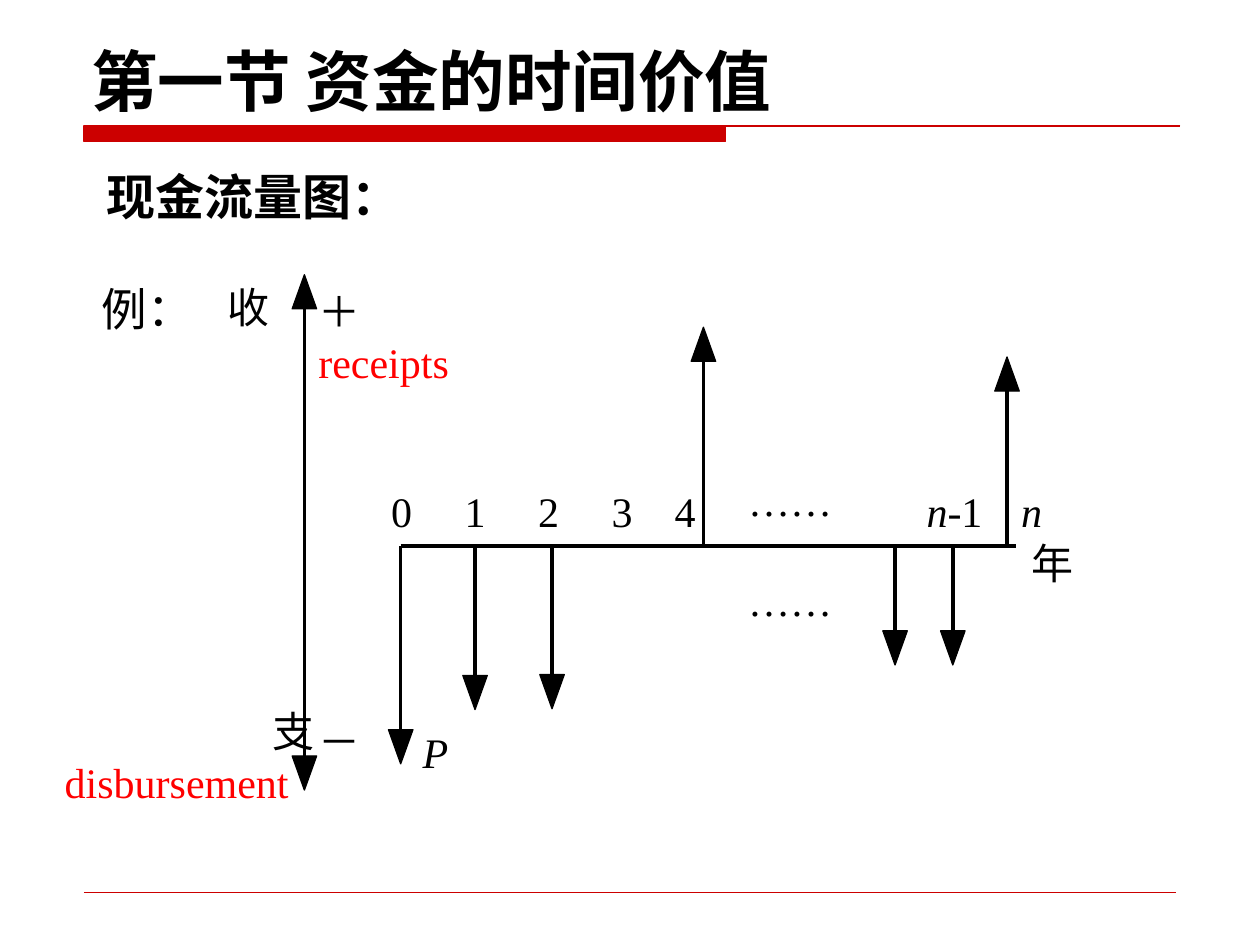
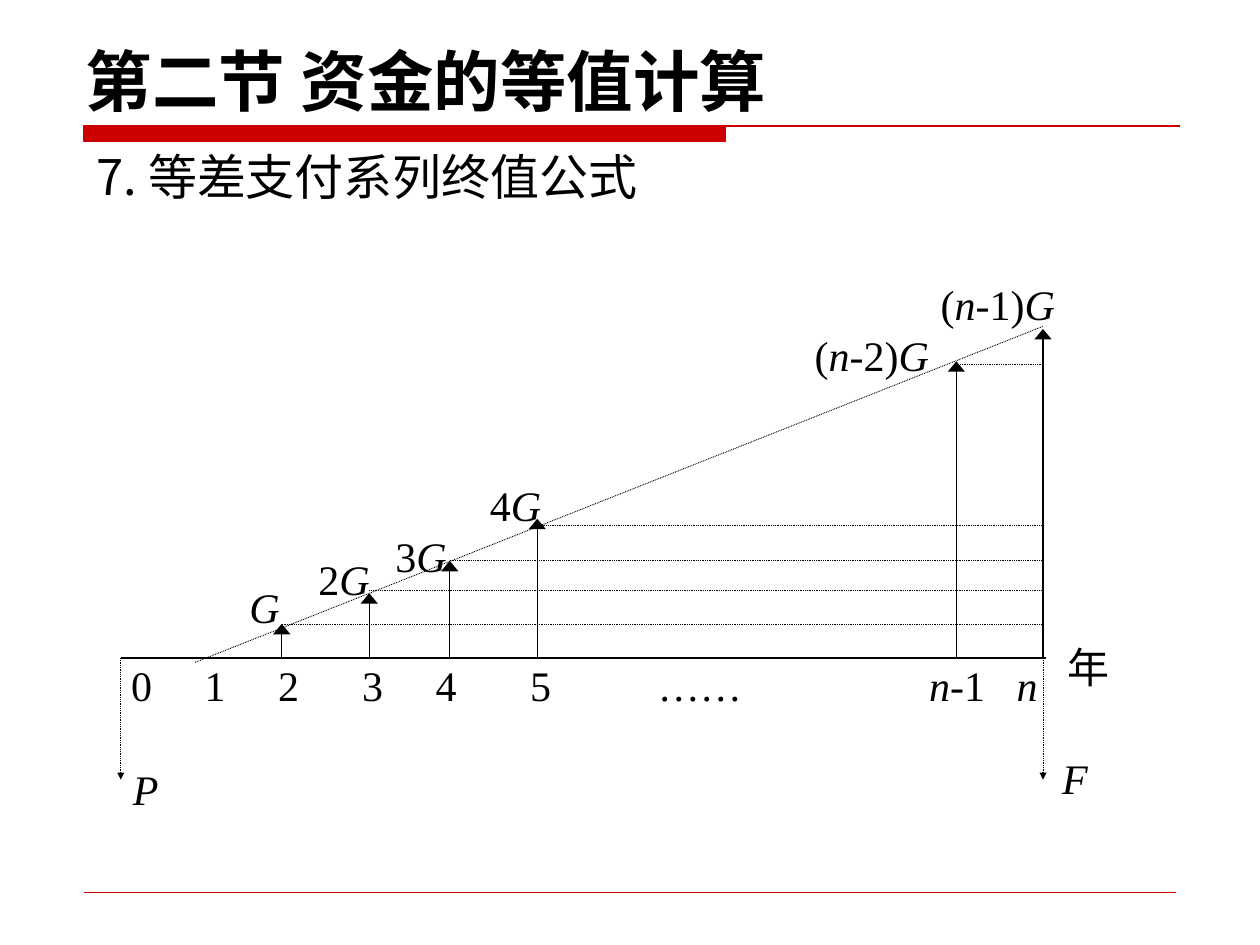
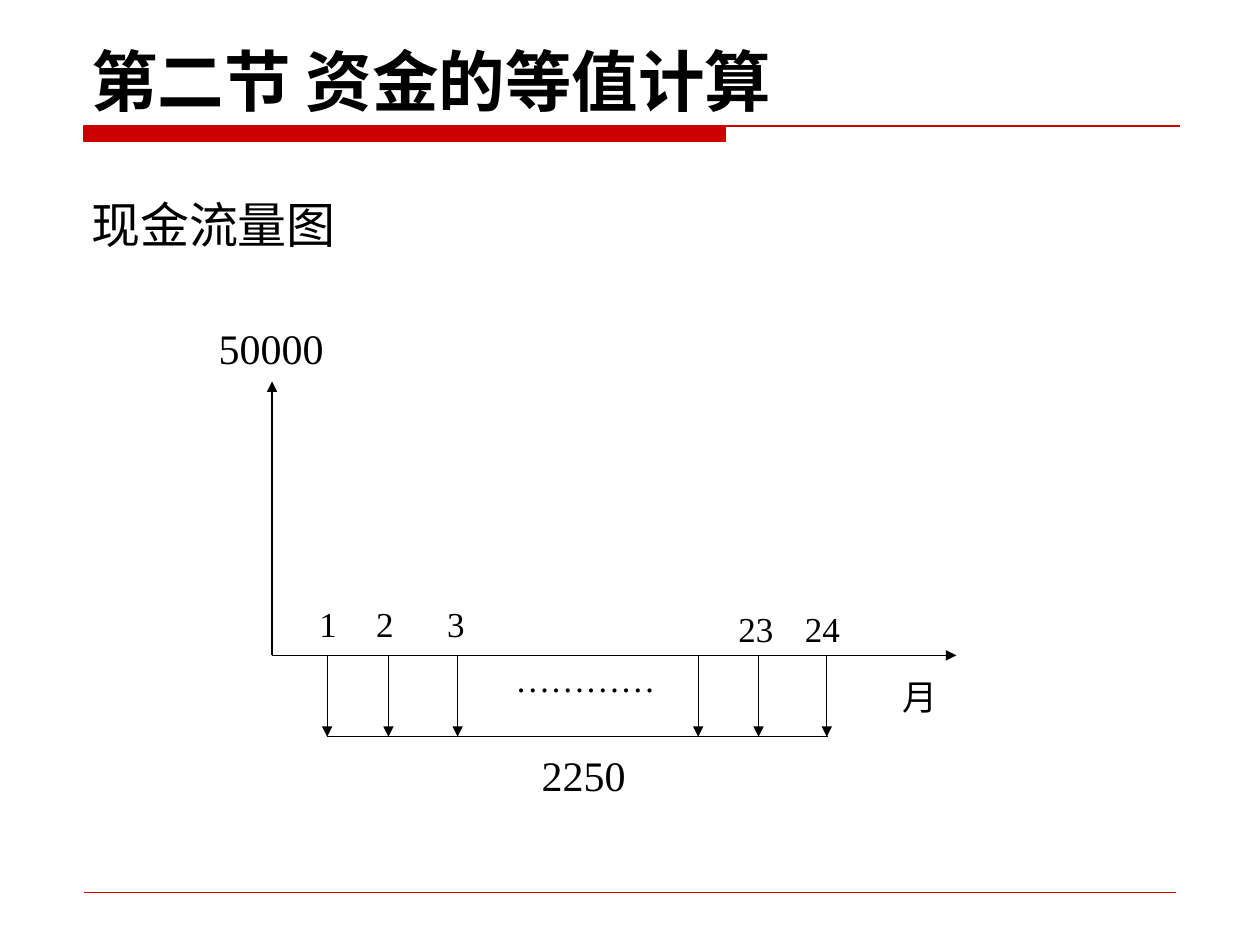
from dataclasses import dataclass

from lxml.etree import SubElement
from pptx import Presentation
from pptx.dml.color import RGBColor
from pptx.enum.dml import MSO_LINE
from pptx.enum.shapes import MSO_CONNECTOR
from pptx.enum.text import MSO_ANCHOR as Anchor
from pptx.oxml.ns import qn
from pptx.util import Pt

RED, BRIGHT_RED, BLACK = "CC0000", "FF0000", "000000"
SERIF, SANS = "Times New Roman", "Noto Sans CJK SC"


@dataclass
class Box:
    left: float
    top: float
    width: float
    height: float

    def inner(self, x, y, width, height):
        return Box(self.left + x, self.top + y, width, height)


def color(hex_text):
    return RGBColor.from_string(hex_text)


# Text: pieces between asterisks are italic
def text(page, box, content, size, font=SERIF, bold=False, ink=BLACK,
         inset=(7.2, 3.6), anchor=Anchor.TOP):
    shape = page.shapes.add_textbox(Pt(box.left), Pt(box.top), Pt(box.width), Pt(box.height))
    frame = shape.text_frame
    frame.word_wrap = True
    frame.vertical_anchor = anchor
    frame.margin_left = frame.margin_right = Pt(inset[0])
    frame.margin_top = frame.margin_bottom = Pt(inset[1])
    for index, piece in enumerate(content.split("*")):
        if not piece:
            continue
        span = frame.paragraphs[0].add_run()
        span.text = piece
        span.font.size = Pt(size)
        span.font.name = font
        span.font.bold = bold
        span.font.italic = index % 2 == 1
        span.font.color.rgb = color(ink)
        SubElement(span.font._element, qn("a:ea")).set("typeface", SANS)


# Diagram label, as wide as its characters need
def label(page, box, content, x, y, size=24, ink=BLACK):
    width = 6 + sum(size if ord(char) > 0x2000 else size * 0.6
                    for char in content.replace("*", ""))
    text(page, box.inner(x, y, width, size * 1.4), content, size, ink=ink, inset=(1, 1))


# Straight line; arrow is the (width, length) of the head at its end
def line(page, box, start, end, weight=0.75, ink=BLACK, dotted=False, arrow=None):
    (x1, y1), (x2, y2) = start, end
    connector = page.shapes.add_connector(
        MSO_CONNECTOR.STRAIGHT, Pt(box.left + x1), Pt(box.top + y1),
        Pt(box.left + x2), Pt(box.top + y2))
    connector.line.width = Pt(weight)
    connector.line.color.rgb = color(ink)
    if dotted:
        connector.line.dash_style = MSO_LINE.ROUND_DOT
    if arrow:
        tail = SubElement(connector.line._get_or_add_ln(), qn("a:tailEnd"))
        for key, value in zip(("type", "w", "len"), ("triangle", *arrow)):
            tail.set(key, value)
    SubElement(connector._element.spPr, qn("a:effectLst"))


# Filled outline made of one or more contours
def outline(page, box, contours, ink, weight, close=True):
    points = [[(Pt(box.left + x), Pt(box.top + y)) for x, y in contour] for contour in contours]
    builder = page.shapes.build_freeform(*points[0][0])
    builder.add_line_segments(points[0][1:], close=True)
    for contour in points[1:]:
        builder.move_to(*contour[0])
        builder.add_line_segments(contour[1:], close=False)
    shape = builder.convert_to_shape()
    shape.shadow.inherit = False
    shape.fill.solid()
    shape.fill.fore_color.rgb = color(ink)
    shape.line.color.rgb = color(ink)
    shape.line.width = Pt(weight)


# Hairline with a large solid head
def flow_arrow(page, box, x, start, tip):
    back = 19.5 if tip < start else -19.5
    line(page, box, (x, start), (x, tip + back), weight=0)
    outline(page, box, [[(x, tip), (x - 7, tip + back), (x + 7, tip + back)]], BLACK, 0)


# Title, red band and footer rule shared by all pages
def add_page(deck, title, title_left=45):
    page = deck.slides.add_slide(deck.slide_layouts[6])
    band = Box(48, 72, 626.5, 9)
    outline(page, band, [[(0, 0), (366.5, 0), (366.5, 9), (0, 9)], [(0, 0), (626.5, 0)]],
            RED, 0.75)
    line(page, Box(48, 510, 624, 0), (0, 0), (624, 0), weight=0.25, ink=RED)
    text(page, Box(title_left, 0, 630, 72), title, 38, SANS, bold=True, anchor=Anchor.BOTTOM)
    return page


def cash_flow_diagram(page, box):
    axis = 156
    # Receipts and disbursements axis
    for tip in (1, 295.5):
        flow_arrow(page, box, 138, axis, tip)
    for content, x, y in (("收", 93, 4), ("支", 119, 246), ("－", 145, 252), ("＋", 145, 6)):
        label(page, box, content, x, y)
    label(page, box, "receipts", 145, 35.5, ink=BRIGHT_RED)
    label(page, box, "disbursement", 0, 275.5, ink=BRIGHT_RED)
    # Time axis with its flows
    line(page, box, (193, axis), (544.5, axis), weight=0)
    for x, tip in ((193, 280.5), (235.5, 249.5), (279.5, 249), (366, 31),
                   (475.5, 224), (508.5, 224), (539.5, 48)):
        flow_arrow(page, box, x, axis, tip)
    for content, x in (("0", 186.5), ("1", 228.5), ("2", 270.5), ("3", 312.5), ("4", 348.5),
                       ("*n*-1", 492.5), ("*n*", 546.5)):
        label(page, box, content, x, 120.5)
    for content, x, y in (("……", 390.5, 114), ("……", 390.5, 171.5),
                          ("年", 552.5, 150), ("*P*", 204.5, 258)):
        label(page, box, content, x, y)


def gradient_diagram(page, box):
    axis, end = 196, 527
    line(page, box, (0, axis), (529, axis), weight=1)
    line(page, box, (42.5, 198.5), (end, 6.5), weight=0.5, dotted=True)
    # Rising payments: arrow x and tip, guide height, label and its place
    payments = (
        (92, 176.5, 177, "*G*", 72.5, 151),
        (142, 159, 157.5, "2*G*", 112, 135),
        (188, 140.5, 140.5, "3*G*", 156, 122),
        (238, 116.5, 120, "4*G*", 210, 93),
        (477.5, 26.5, 28, "(*n*-2)*G*", 395.5, 7),
        (end, 8, None, "(*n*-1)*G*", 467.5, -22),
    )
    for x, tip, guide, content, label_x, label_y in payments:
        line(page, box, (x, axis), (x, tip), arrow=("lg", "med"))
        if guide:
            line(page, box, (x, guide), (end, guide), weight=0.5, dotted=True)
        label(page, box, content, label_x, label_y)
    # Present and future values
    for x, content, label_x, label_y in ((0, "*P*", 6, 255), (end, "*F*", 537, 249)):
        line(page, box, (x, axis), (x, 263), weight=0.5, dotted=True)
        line(page, box, (x, 261), (x, 265.5), arrow=("sm", "sm"))
        label(page, box, content, label_x, label_y)
    # Years
    for content, x in (("0", 5), ("1", 47), ("2", 89), ("3", 137), ("4", 179), ("5", 233),
                       ("……", 306), ("*n*-1", 461), ("*n*", 511)):
        label(page, box, content, x, axis)
    label(page, box, "年", 540, 185.5)


def loan_diagram(page, box):
    axis, bottom, head = 191.5, 238, ("med", "med")
    # Loan and time axes
    for end in ((422.5, axis), (31.5, 35)):
        line(page, box, (31.5, axis), end, arrow=head)
    # Monthly repayments
    for x in (63, 98, 137.5, 275, 309.5, 348.5):
        line(page, box, (x, axis), (x, bottom), arrow=head)
    line(page, box, (63, bottom), (349, bottom))
    for content, x, y in (("1", 57.5, 160.5), ("2", 90, 160.5), ("3", 130.5, 160.5),
                          ("23", 297, 163), ("24", 335, 163),
                          ("…………", 169.5, 191.5), ("月", 391, 202)):
        label(page, box, content, x, y, size=20)
    label(page, box, "50000", 0, 0)
    label(page, box, "2250", 184.5, 244.5)


def main():
    deck = Presentation()
    deck.slide_width, deck.slide_height = Pt(720), Pt(540)

    page = add_page(deck, "第一节 资金的时间价值")
    text(page, Box(54, 91.5, 660, 41), "现金流量图：", 28, bold=True)
    text(page, Box(51, 157, 76, 40), "例：", 26, SANS)
    cash_flow_diagram(page, Box(36, 156, 648, 300))

    page = add_page(deck, "第二节 资金的等值计算", title_left=42)
    text(page, Box(48, 85.5, 555, 30), "7. 等差支付系列终值公式", 28, SANS, anchor=Anchor.MIDDLE)
    gradient_diagram(page, Box(69, 180, 573, 290))

    page = add_page(deck, "第二节 资金的等值计算")
    text(page, Box(45, 107.5, 156, 41), "现金流量图", 28, SANS)
    loan_diagram(page, Box(124, 183, 444, 276))

    deck.save("out.pptx")


if __name__ == "__main__":
    main()
